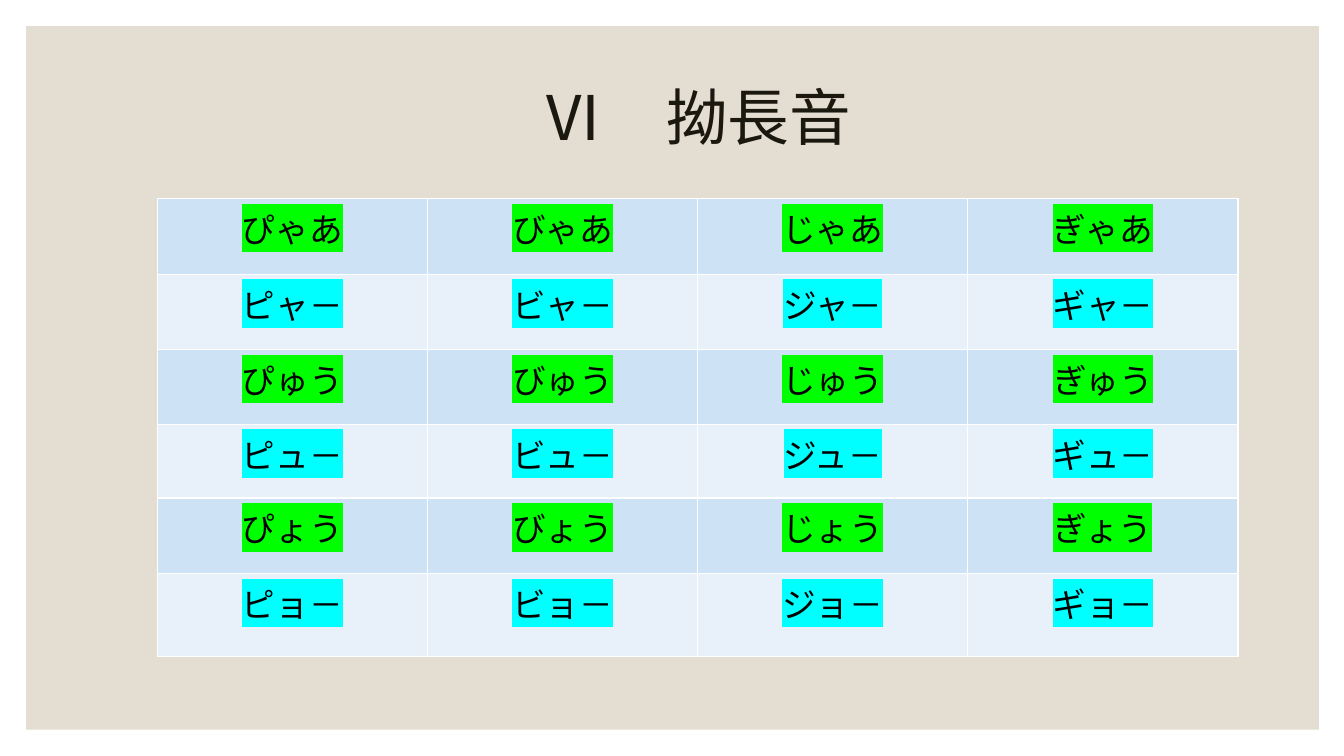
import pptx
import pptx.dml.color
import pptx.enum.shapes
import pptx.enum.text
import pptx.oxml.ns
import pptx.util
from lxml import etree

Inches = pptx.util.Inches
Pt = pptx.util.Pt

COLUMN_WIDTH = 2.68
ROW_HEIGHTS = [0.75, 0.75, 0.74, 0.73, 0.75, 0.82]
# Hiragana and katakana rows alternate: (cell fill, text highlight)
ROW_STYLES = [("CDE3F5", "00FF00"), ("E8F1FA", "00FFFF")]
SYLLABLES = [
    ["ぴゃあ", "びゃあ", "じゃあ", "ぎゃあ"],
    ["ピャ－", "ビャ－", "ジャ－", "ギャ－"],
    ["ぴゅう", "びゅう", "じゅう", "ぎゅう"],
    ["ピュ－", "ビュ－", "ジュ－", "ギュ－"],
    ["ぴょう", "びょう", "じょう", "ぎょう"],
    ["ピョ－", "ビョ－", "ジョ－", "ギョ－"],
]


def color(value):
    return pptx.dml.color.RGBColor.from_string(value)


def add_xml_color(parent, value):
    etree.SubElement(parent, pptx.oxml.ns.qn("a:srgbClr"), val=value)


def add_run(paragraph, text, size, font, text_color, highlight=None):
    paragraph.alignment = pptx.enum.text.PP_ALIGN.CENTER
    run = paragraph.add_run()
    run.text = text
    run.font.size = Pt(size)
    run.font.color.rgb = color(text_color)
    if highlight:
        # The highlight has to stand between the colour and the typeface
        properties = run.font._element if hasattr(run.font, "_element") else run._r.get_or_add_rPr()
        add_xml_color(etree.SubElement(properties, pptx.oxml.ns.qn("a:highlight")), highlight)
    run.font.name = font


def set_borders(cell, line_color, width):
    properties = cell._tc.get_or_add_tcPr()
    for side in ("a:lnL", "a:lnR", "a:lnT", "a:lnB"):
        line = etree.SubElement(properties, pptx.oxml.ns.qn(side), w=str(Pt(width)))
        add_xml_color(etree.SubElement(line, pptx.oxml.ns.qn("a:solidFill")), line_color)


def add_panel(slide, left, top, width, height):
    panel = slide.shapes.add_shape(
        pptx.enum.shapes.MSO_SHAPE.RECTANGLE,
        Inches(left), Inches(top), Inches(width), Inches(height))
    panel.shadow.inherit = False
    panel.fill.solid()
    panel.fill.fore_color.rgb = color("E3DED1")
    panel.line.fill.background()


def add_title(slide, left, top, width, height):
    title = slide.shapes.add_textbox(
        Inches(left), Inches(top), Inches(width), Inches(height))
    frame = title.text_frame
    frame.word_wrap = True
    frame.vertical_anchor = pptx.enum.text.MSO_ANCHOR.MIDDLE
    add_run(frame.paragraphs[0], "Ⅵ　拗長音", 44, "DejaVu Sans", "1B1810")


def add_syllable_table(slide, left, top):
    column_count = len(SYLLABLES[0])
    table = slide.shapes.add_table(
        len(SYLLABLES), column_count, Inches(left), Inches(top),
        Inches(COLUMN_WIDTH * column_count), Inches(sum(ROW_HEIGHTS))).table
    for column in table.columns:
        column.width = Inches(COLUMN_WIDTH)
    for row_index, syllables in enumerate(SYLLABLES):
        table.rows[row_index].height = Inches(ROW_HEIGHTS[row_index])
        fill, highlight = ROW_STYLES[row_index % 2]
        for column_index, syllable in enumerate(syllables):
            cell = table.cell(row_index, column_index)
            set_borders(cell, "FFFFFF", 1)
            cell.fill.solid()
            cell.fill.fore_color.rgb = color(fill)
            add_run(cell.text_frame.paragraphs[0], syllable, 24,
                    "League Spartan", "000000", highlight)


def main():
    presentation = pptx.Presentation()
    presentation.slide_width = Inches(13.33)
    presentation.slide_height = Inches(7.5)
    slide = presentation.slides.add_slide(presentation.slide_layouts[6])
    add_panel(slide, 0.26, 0.26, 12.82, 6.98)
    add_syllable_table(slide, 1.56, 1.97)
    add_title(slide, 2.75, 0.73, 8.33, 0.84)
    presentation.save("out.pptx")


if __name__ == "__main__":
    main()
